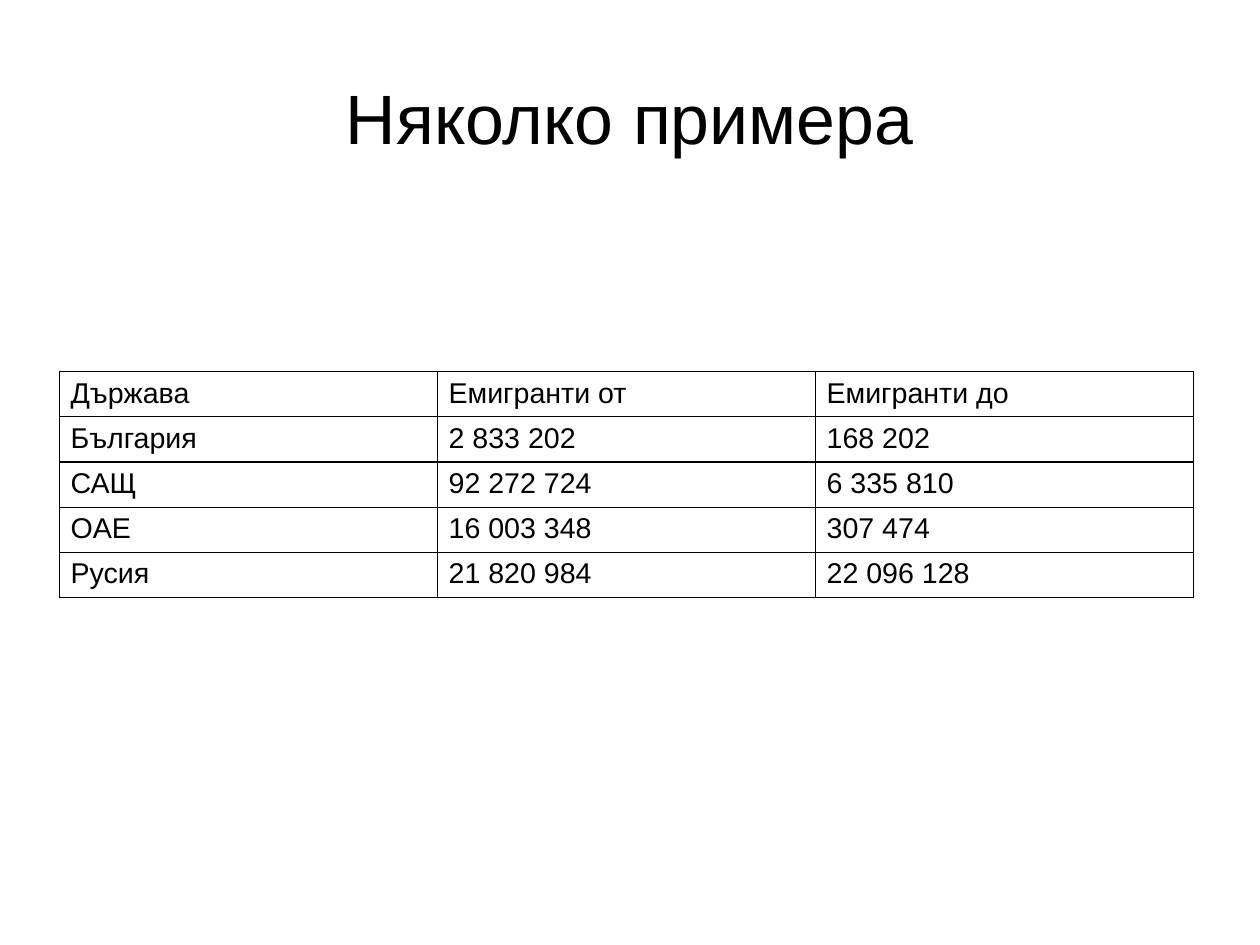
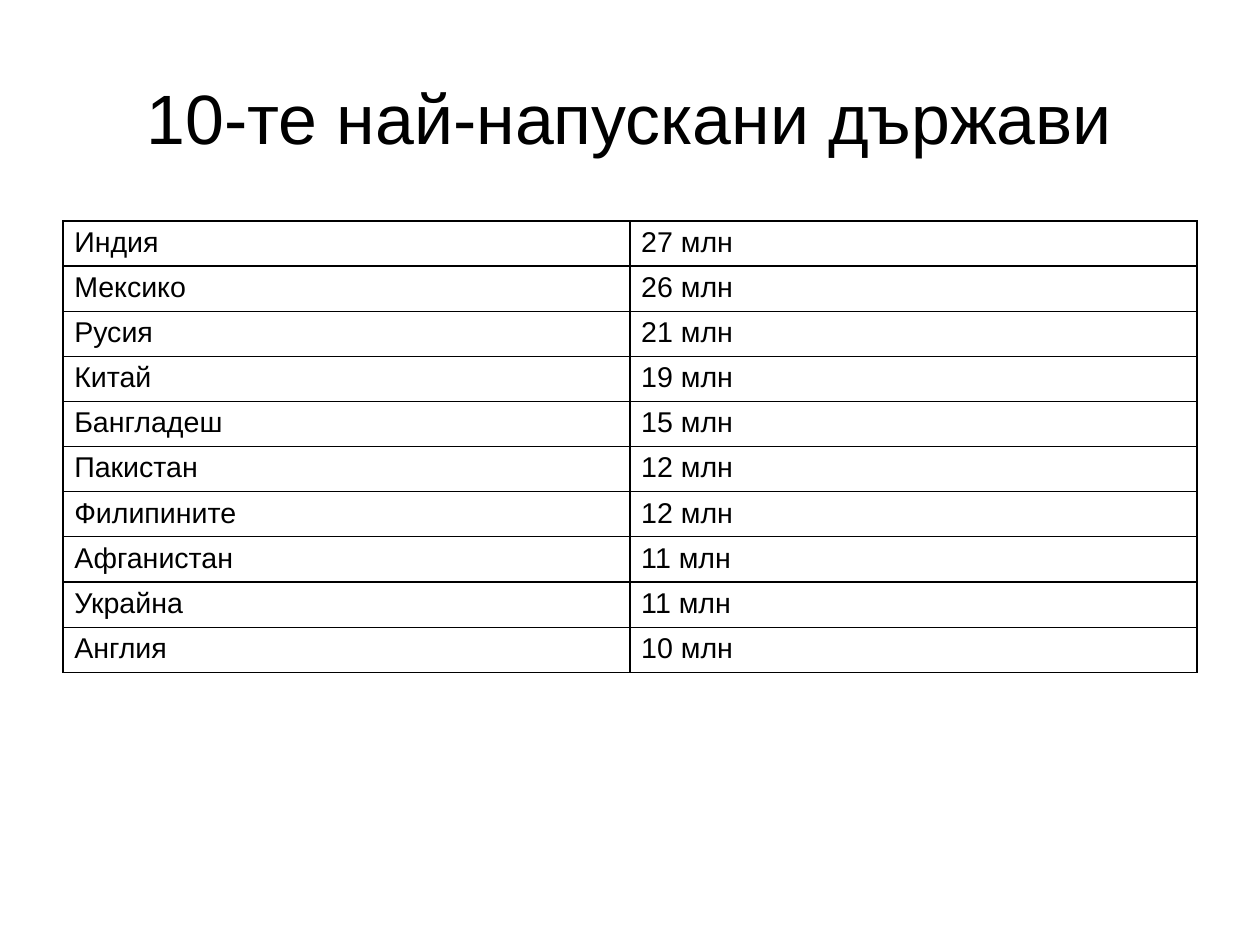
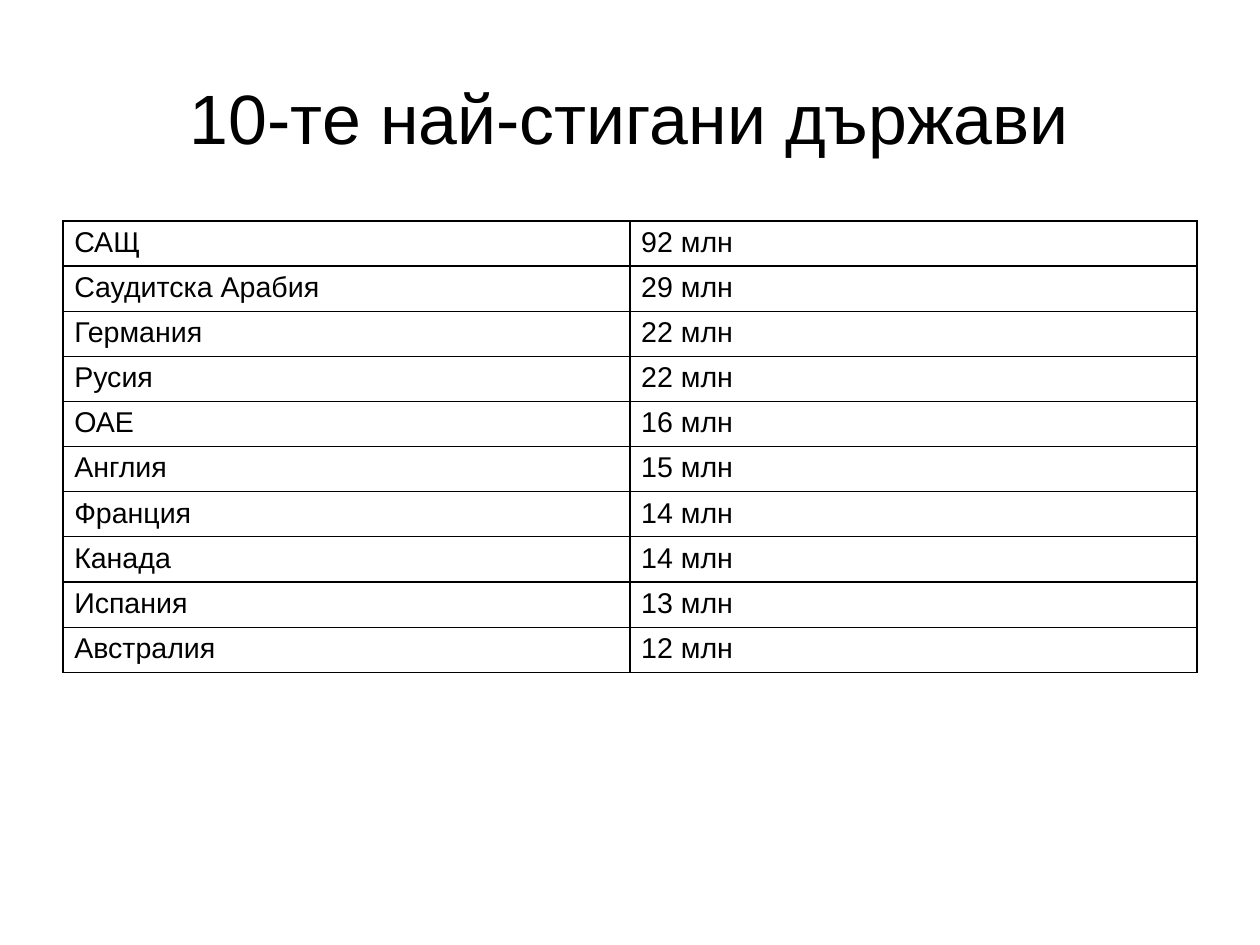
from lxml import etree
from pptx import Presentation
from pptx.dml.color import RGBColor
from pptx.enum import text
from pptx.oxml import ns
from pptx.util import Cm, Pt

INK = "000000"
FONT = "Arial"
LEFT, WIDTH = 1.4, 25.2
ROW = 0.97


def write(frame, words, size=18, color=INK, align=text.PP_ALIGN.LEFT):
    para = frame.paragraphs[0]
    para.alignment = align
    run = para.add_run()
    run.text = words
    run.font.size = Pt(size)
    run.font.name = FONT
    run.font.color.rgb = RGBColor.from_string(color)


def border(cell, color=INK, width=0.03):
    """Draw a solid line on all four sides of a table cell."""
    props = cell._tc.get_or_add_tcPr()
    for spot, side in enumerate(("lnL", "lnR", "lnT", "lnB")):
        line = etree.Element(ns.qn("a:" + side), w=str(Cm(width)))
        fill = etree.SubElement(line, ns.qn("a:solidFill"))
        etree.SubElement(fill, ns.qn("a:srgbClr"), val=color)
        props.insert(spot, line)


# Title, left and top of the table, rows
pages = [
    ("Няколко примера", 1.32, 8.26, [
        ("Държава", "Емигранти от", "Емигранти до"),
        ("България", "2 833 202", "168 202"),
        ("САЩ", "92 272 724", "6 335 810"),
        ("OAE", "16 003 348", "307 474"),
        ("Русия", "21 820 984", "22 096 128"),
    ]),
    ("10-те най-напускани държави", LEFT, 4.91, [
        ("Индия", "27 млн"),
        ("Мексико", "26 млн"),
        ("Русия", "21 млн"),
        ("Китай", "19 млн"),
        ("Бангладеш", "15 млн"),
        ("Пакистан", "12 млн"),
        ("Филипините", "12 млн"),
        ("Афганистан", "11 млн"),
        ("Украйна", "11 млн"),
        ("Англия", "10 млн"),
    ]),
    ("10-те най-стигани държави", LEFT, 4.91, [
        ("САЩ", "92 млн"),
        ("Саудитска Арабия", "29 млн"),
        ("Германия", "22 млн"),
        ("Русия", "22 млн"),
        ("ОАЕ", "16 млн"),
        ("Англия", "15 млн"),
        ("Франция", "14 млн"),
        ("Канада", "14 млн"),
        ("Испания", "13 млн"),
        ("Австралия", "12 млн"),
    ]),
]

deck = Presentation()
deck.slide_width, deck.slide_height = Cm(28), Cm(21)

for title, left, top, rows in pages:
    slide = deck.slides.add_slide(deck.slide_layouts[6])

    box = slide.shapes.add_textbox(Cm(LEFT), Cm(0.84), Cm(WIDTH), Cm(3.5))
    frame = box.text_frame
    frame.word_wrap = True
    frame.vertical_anchor = text.MSO_ANCHOR.MIDDLE
    frame.margin_left = frame.margin_right = 0
    frame.margin_top = frame.margin_bottom = 0
    write(frame, title, size=44, align=text.PP_ALIGN.CENTER)

    table = slide.shapes.add_table(
        len(rows), len(rows[0]), Cm(left), Cm(top),
        Cm(WIDTH), Cm(ROW * len(rows))).table
    table.first_row = table.horz_banding = False
    for y, row in enumerate(rows):
        table.rows[y].height = Cm(ROW)
        for x, words in enumerate(row):
            cell = table.cell(y, x)
            cell.margin_left = cell.margin_right = Cm(0.25)
            cell.margin_top = cell.margin_bottom = Cm(0.12)
            cell.fill.background()
            border(cell)
            write(cell.text_frame, words)

deck.save("out.pptx")
